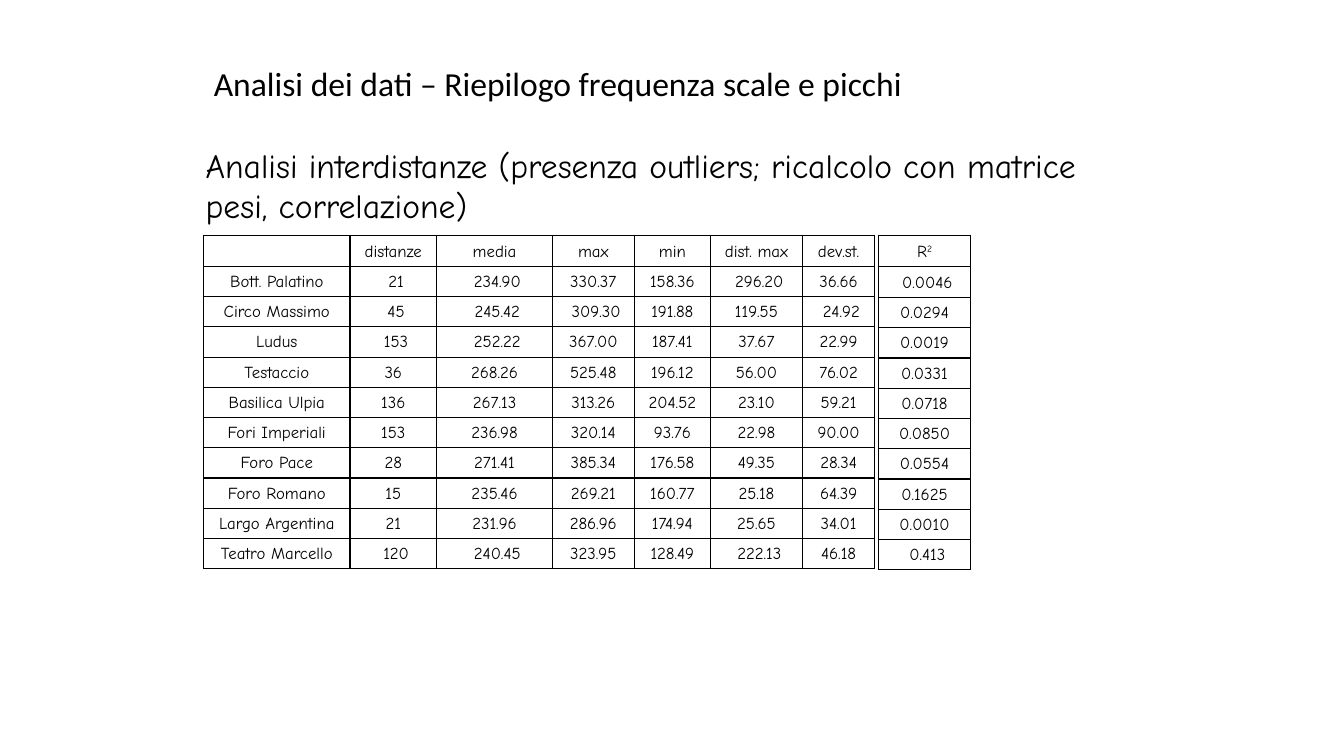
from lxml import etree
from pptx import Presentation
from pptx.dml.color import RGBColor
from pptx.enum.text import MSO_ANCHOR, MSO_AUTO_SIZE, PP_ALIGN
from pptx.oxml.ns import qn
from pptx.util import Pt

BLACK = RGBColor(0, 0, 0)
LEFT, CENTER = PP_ALIGN.LEFT, PP_ALIGN.CENTER
TOP, MIDDLE, BOTTOM = MSO_ANCHOR.TOP, MSO_ANCHOR.MIDDLE, MSO_ANCHOR.BOTTOM
NO_AUTOFIT = MSO_AUTO_SIZE.NONE
TITLE_FONT, BODY_FONT = "Calibri", "Comic Neue"

TITLE = "Analisi dei dati – Riepilogo frequenza scale e picchi"
SUBTITLE = "Analisi interdistanze (presenza outliers; ricalcolo con matrice pesi, correlazione)"
DISTANCES = """\
|distanze|media|max|min|dist. max|dev.st.
Bott. Palatino| 21| 234.90|330.37|158.36| 296.20|36.66
Circo Massimo| 45| 245.42| 309.30|191.88|119.55| 24.92
Ludus| 153| 252.22|367.00|187.41|37.67|22.99
Testaccio|36|268.26|525.48|196.12|56.00|76.02
Basilica Ulpia|136|267.13|313.26|204.52|23.10|59.21
Fori Imperiali|153|236.98|320.14|93.76|22.98|90.00
Foro Pace|28|271.41|385.34|176.58|49.35|28.34
Foro Romano|15|235.46|269.21|160.77|25.18|64.39
Largo Argentina|21|231.96|286.96|174.94|25.65|34.01
Teatro Marcello| 120| 240.45|323.95|128.49| 222.13|46.18"""
CORRELATIONS = ["R", " 0.0046", "0.0294", "0.0019", "0.0331", "0.0718",
                "0.0850", "0.0554", "0.1625", "0.0010", " 0.413"]
DISTANCE_WIDTHS = [104.5, 61.9, 82.8, 58.3, 54.7, 65.5, 51.8]
HEADER_HEIGHT, ROW_HEIGHT = 22.3, 21.6


def add_text(para, text, size=12, font=BODY_FONT, align=CENTER, superscript=False):
    para.alignment = align
    span = para.add_run()
    span.text = text
    span.font.size = Pt(size)
    span.font.name = font
    span.font.bold = False
    span.font.color.rgb = BLACK
    if superscript:
        span.font._element.set("baseline", "30000")


def fill_placeholder(holder, box, text, font, anchor, line_spacing):
    holder.left, holder.top, holder.width, holder.height = map(Pt, box)
    frame = holder.text_frame
    frame.word_wrap = True
    frame.auto_size = NO_AUTOFIT
    frame.vertical_anchor = anchor
    para = frame.paragraphs[0]
    para.line_spacing = line_spacing
    para.space_before = Pt(0)
    properties = para._p.get_or_add_pPr()
    properties.set("marL", "0")
    properties.set("indent", "0")
    etree.SubElement(properties, qn("a:buNone"))
    add_text(para, text, size=24, font=font, align=LEFT)


def add_borders(cell):
    properties = cell._tc.get_or_add_tcPr()
    for side in ("lnL", "lnR", "lnT", "lnB"):
        line = etree.SubElement(properties, qn(f"a:{side}"), w=str(Pt(1)))
        fill = etree.SubElement(line, qn("a:solidFill"))
        etree.SubElement(fill, qn("a:srgbClr"), val=str(BLACK))


def add_grid(page, box, rows, widths, heights):
    left, top = box
    frame = page.shapes.add_table(len(rows), len(widths), Pt(left), Pt(top),
                                  Pt(sum(widths)), Pt(sum(heights)))
    table = frame.table
    table.first_row = False
    table.horz_banding = False
    for column, width in zip(table.columns, widths):
        column.width = Pt(width)
    for row, height, values in zip(table.rows, heights, rows):
        row.height = Pt(height)
        for cell, value in zip(row.cells, values):
            cell.vertical_anchor = BOTTOM
            add_borders(cell)
            cell.fill.background()
            para = cell.text_frame.paragraphs[0]
            if value:
                add_text(para, value)
            else:
                etree.SubElement(para._p, qn("a:endParaRPr"), sz="1200")
    return table


def add_distance_table(page, box):
    rows = [line.split("|") for line in DISTANCES.splitlines()]
    heights = [HEADER_HEIGHT] + [ROW_HEIGHT] * (len(rows) - 1)
    add_grid(page, box, rows, DISTANCE_WIDTHS, heights)


def add_correlation_table(page, box):
    rows = [[value] for value in CORRELATIONS]
    heights = [HEADER_HEIGHT] * 2 + [ROW_HEIGHT] * (len(rows) - 2)
    table = add_grid(page, box, rows, [65.8], heights)
    add_text(table.cell(0, 0).text_frame.paragraphs[0], "2", superscript=True)


def main():
    deck = Presentation()
    deck.slide_width, deck.slide_height = Pt(960), Pt(540)
    page = deck.slides.add_slide(deck.slide_layouts[1])
    fill_placeholder(page.shapes.title, (145.5, 43, 648, 36), TITLE, TITLE_FONT, MIDDLE, 0.9)
    fill_placeholder(page.placeholders[1], (139.7, 100, 648, 65.5), SUBTITLE, BODY_FONT, TOP, 1.0)
    add_distance_table(page, (145.5, 168))
    add_correlation_table(page, (627.5, 168))
    deck.save("out.pptx")


if __name__ == "__main__":
    main()
